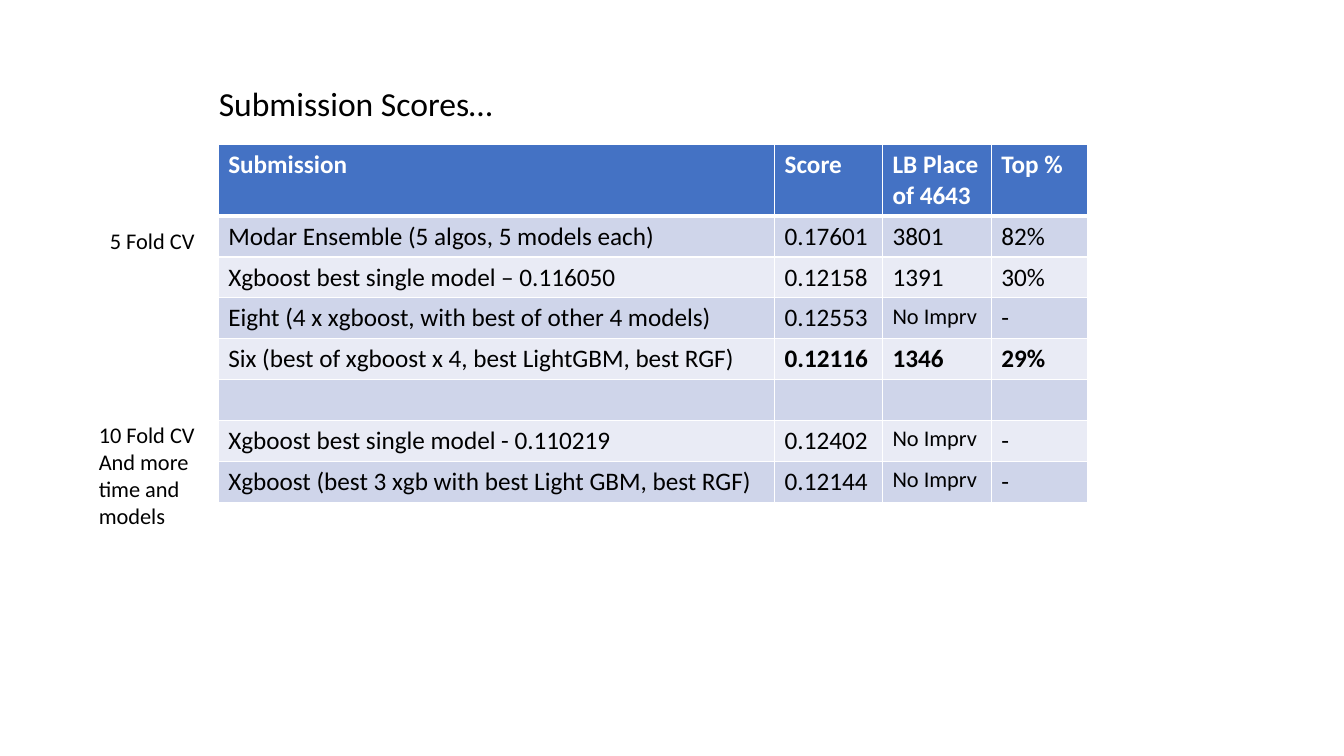
from lxml import etree
from pptx import Presentation
from pptx.dml.color import RGBColor
from pptx.enum.text import MSO_ANCHOR, MSO_AUTO_SIZE, PP_ALIGN
from pptx.oxml.ns import qn
from pptx.util import Cm, Pt

TOP, LEFT = MSO_ANCHOR.TOP, PP_ALIGN.LEFT
NO_FIT, GROW = MSO_AUTO_SIZE.NONE, MSO_AUTO_SIZE.SHAPE_TO_FIT_TEXT

# Content
TITLE = "Submission Scores…"
HEADER = ("Submission", "Score", "LB Place\nof 4643", "Top %")
NO_GAIN = "No Imprv"
ROWS = [
    ("Modar Ensemble (5 algos, 5 models each)", "0.17601", "3801", "82%"),
    ("Xgboost best single model – 0.116050", "0.12158", "1391", "30%"),
    ("Eight (4 x xgboost, with best of other 4 models)", "0.12553", NO_GAIN, "-"),
    ("Six (best of xgboost x 4, best LightGBM, best RGF)", "0.12116", "1346", "29%"),
    ("", "", "", ""),
    ("Xgboost best single model - 0.110219", "0.12402", NO_GAIN, "-"),
    ("Xgboost (best 3 xgb with best Light GBM, best RGF)", "0.12144", NO_GAIN, "-"),
]
BEST_ROW = 4
# text, left, top, width, height in cm, wrap
NOTES = [
    ("5 Fold CV", 2.52, 5.59, 2.67, 0.94, False),
    ("10 Fold CV\nAnd more time and models", 2.24, 10.49, 3, 3, True),
]

# Look
FONT = "Calibri"
BLACK, WHITE = "000000", "FFFFFF"
HEAD_FILL, BANDS = "4472C4", ("E9EBF5", "CFD5EA")
COL_WIDTHS = (14.02, 2.72, 2.74, 2.44)
HEAD_HEIGHT, ROW_HEIGHT = 1.8, 1.03


def rgb(value):
    return RGBColor.from_string(value)


def write(tf, text, size, color=BLACK, bold=False):
    for i, line in enumerate(text.split("\n")):
        p = tf.paragraphs[0] if i == 0 else tf.add_paragraph()
        if not line:
            continue
        r = p.add_run()
        r.text = line
        r.font.name, r.font.size, r.font.bold = FONT, Pt(size), bold
        r.font.color.rgb = rgb(color)


def add_borders(cell, widths):
    tc_pr = cell._tc.get_or_add_tcPr()
    for side, width in zip("LRTB", widths):
        ln = etree.SubElement(tc_pr, qn(f"a:ln{side}"), w=str(Pt(width)))
        fill = etree.SubElement(ln, qn("a:solidFill"))
        etree.SubElement(fill, qn("a:srgbClr"), val=WHITE)


prs = Presentation()
prs.slide_width, prs.slide_height = Cm(33.87), Cm(19.05)
s = prs.slides.add_slide(prs.slide_layouts[5])

# Title
title = s.shapes.title
title.left, title.top, title.width, title.height = Cm(5.26), Cm(2.08), Cm(16.46), Cm(1.42)
tf = title.text_frame
tf.vertical_anchor, tf.auto_size = TOP, NO_FIT
write(tf, TITLE, 24)
tf.paragraphs[0].alignment = LEFT
tf.paragraphs[0].line_spacing = 0.9

# Score table
data = [HEADER] + ROWS
heights = [HEAD_HEIGHT] + [ROW_HEIGHT] * len(ROWS)
table = s.shapes.add_table(len(data), len(HEADER), Cm(5.5), Cm(3.64),
                           Cm(sum(COL_WIDTHS)), Cm(sum(heights))).table
for col, width in zip(table.columns, COL_WIDTHS):
    col.width = Cm(width)
for i, (values, height) in enumerate(zip(data, heights)):
    table.rows[i].height = Cm(height)
    head = i == 0
    for j, text in enumerate(values):
        cell = table.cell(i, j)
        add_borders(cell, (1, 1, 3 if i == 1 else 1, 3 if head else 1))
        cell.fill.solid()
        cell.fill.fore_color.rgb = rgb(HEAD_FILL if head else BANDS[i % 2])
        write(cell.text_frame, text, 16 if text == NO_GAIN else 18,
              WHITE if head else BLACK, head or (i == BEST_ROW and j > 0))

# Notes beside the table
for text, left, top, width, height, wrap in NOTES:
    tf = s.shapes.add_textbox(Cm(left), Cm(top), Cm(width), Cm(height)).text_frame
    tf.word_wrap, tf.auto_size = wrap, GROW
    write(tf, text, 16)

prs.save("out.pptx")
